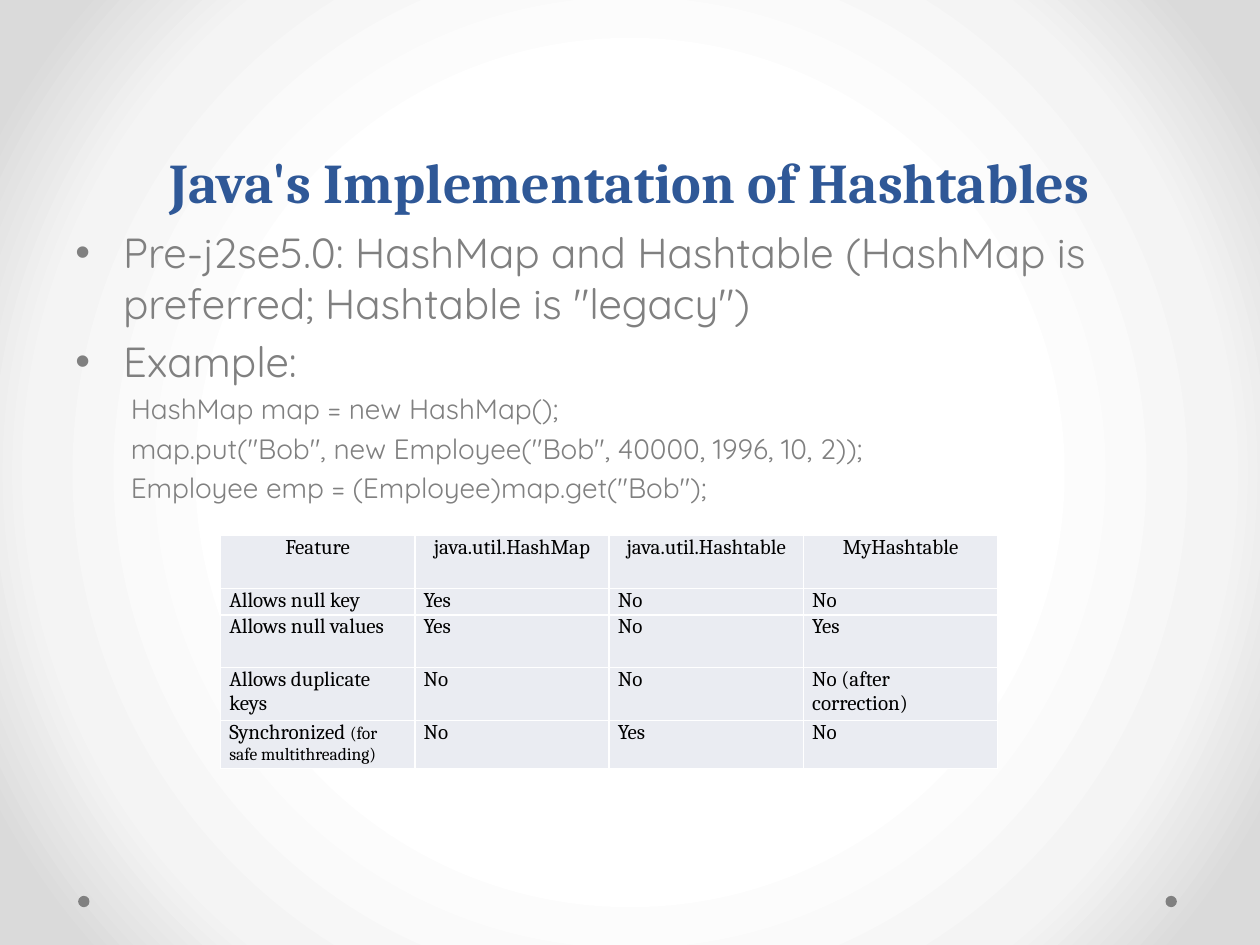
from pptx import Presentation
from pptx.dml.color import RGBColor
from pptx.enum.shapes import MSO_SHAPE
from pptx.enum.text import MSO_ANCHOR, PP_ALIGN
from pptx.oxml import parse_xml
from pptx.oxml.ns import nsdecls, qn
from pptx.util import Inches, Pt

OVAL = MSO_SHAPE.OVAL
BOTTOM, TOP = MSO_ANCHOR.BOTTOM, MSO_ANCHOR.TOP
CENTER, LEFT = PP_ALIGN.CENTER, PP_ALIGN.LEFT
BLUE = RGBColor(0x2F, 0x58, 0x97)
GRAY = RGBColor(0x80, 0x80, 0x80)
BLACK = RGBColor(0, 0, 0)
WHITE = RGBColor(0xFF, 0xFF, 0xFF)
SILVER = RGBColor(0xF4, 0xF4, 0xF4)
ASH = RGBColor(0xDA, 0xDA, 0xDA)
PALE = RGBColor(0xEA, 0xEC, 0xF2)
SERIF, SANS = "Cambria", "Quicksand"
COLUMNS, ROWS = 40, 30


class Deck:
    """Holds the style and the current slide, placed on a 40 by 30 grid."""

    def __init__(self, width, height):
        self.presentation = Presentation()
        self.presentation.slide_width = Inches(width)
        self.presentation.slide_height = Inches(height)
        self.column = self.presentation.slide_width / COLUMNS
        self.row = self.presentation.slide_height / ROWS
        self.slide = self.presentation.slides.add_slide(self.presentation.slide_layouts[6])

    def box(self, left, top, width, height):
        return (round(left * self.column), round(top * self.row),
                round(width * self.column), round(height * self.row))

    def glow(self, stops):
        self.slide.background.fill.solid()
        solid = self.slide.background.fill._xPr.find(qn("a:solidFill"))
        marks = "".join(f'<a:gs pos="{share * 1000}"><a:srgbClr val="{color}"/></a:gs>'
                        for share, color in stops)
        solid.getparent().replace(solid, parse_xml(
            f'<a:gradFill {nsdecls("a")} rotWithShape="1"><a:gsLst>{marks}</a:gsLst>'
            '<a:path path="circle"><a:fillToRect l="50000" t="50000" r="50000" b="50000"/>'
            '</a:path></a:gradFill>'))

    def dot(self, left, top, size):
        dot = self.slide.shapes.add_shape(OVAL, *self.box(left, top, size, size))
        dot.shadow.inherit = False
        dot.fill.solid()
        dot.fill.fore_color.rgb = GRAY
        dot.line.fill.background()

    def run(self, paragraph, text, size, font, color, bold=False):
        run = paragraph.add_run()
        run.text = text
        run.font.size = Pt(size)
        run.font.name = font
        run.font.color.rgb = color
        run.font.bold = bold

    def frame(self, *place, anchor=TOP):
        frame = self.slide.shapes.add_textbox(*self.box(*place)).text_frame
        frame.word_wrap = True
        frame.vertical_anchor = anchor
        return frame

    def title(self, text, *place):
        paragraph = self.frame(*place, anchor=BOTTOM).paragraphs[0]
        paragraph.alignment = CENTER
        paragraph.line_spacing = Pt(58)
        self.run(paragraph, text, 32, SERIF, BLUE, bold=True)

    def body(self, lines, *place):
        frame = self.frame(*place)
        for index, (text, size, margin, bullet) in enumerate(lines):
            paragraph = frame.add_paragraph() if index else frame.paragraphs[0]
            paragraph.space_before = Pt(size * 0.2)
            properties = paragraph._p.get_or_add_pPr()
            properties.set("marL", str(Inches(margin)))
            properties.set("indent", str(-Inches(margin) if bullet else 0))
            if bullet:
                properties.append(parse_xml(f'<a:buFont {nsdecls("a")} typeface="Arial"/>'))
                properties.append(parse_xml(f'<a:buChar {nsdecls("a")} char="{bullet}"/>'))
            self.run(paragraph, text, size, SANS, GRAY)

    def cell(self, cell, runs, alignment):
        cell.margin_left = cell.margin_right = Inches(0.07)
        cell.margin_top = cell.margin_bottom = 0
        cell.fill.solid()
        cell.fill.fore_color.rgb = PALE
        for position, side in enumerate(("lnL", "lnR", "lnT", "lnB")):
            cell._tc.get_or_add_tcPr().insert(position, parse_xml(
                f'<a:{side} {nsdecls("a")} w="{Pt(1)}"><a:solidFill>'
                f'<a:srgbClr val="{WHITE}"/></a:solidFill></a:{side}>'))
        paragraph = cell.text_frame.paragraphs[0]
        paragraph.alignment = alignment
        for text, size in runs:
            self.run(paragraph, text, size, SERIF, BLACK)

    def table(self, records, heights, *place):
        table = self.slide.shapes.add_table(
            len(records), len(records[0]), *self.box(*place)).table
        for index, (record, height) in enumerate(zip(records, heights)):
            table.rows[index].height = Inches(height)
            for cell, content in zip(table.rows[index].cells, record):
                runs = [(content, 12)] if isinstance(content, str) else content
                self.cell(cell, runs, LEFT if index else CENTER)


HEADLINES = ['Pre-j2se5.0: HashMap and Hashtable (HashMap is preferred; Hashtable is "legacy")',
             "Example:"]
CODE = ["HashMap map = new HashMap();",
        'map.put("Bob", new Employee("Bob", 40000, 1996, 10, 2));',
        'Employee emp = (Employee)map.get("Bob");']
SYNCHRONIZED = [("Synchronized ", 12), ("(for safe multithreading)", 10)]
FEATURES = [
    ("Feature", "java.util.HashMap", "java.util.Hashtable", "MyHashtable"),
    ("Allows null key", "Yes", "No", "No"),
    ("Allows null values", "Yes", "No", "Yes"),
    ("Allows duplicate keys", "No", "No", "No (after correction)"),
    (SYNCHRONIZED, "No", "Yes", "No"),
]

deck = Deck(10, 7.5)
deck.glow([(50, WHITE), (76, SILVER), (92, ASH)])
for dot_left in (2.48, 37):
    deck.dot(dot_left, 28.44, 0.36)
deck.title("Java's Implementation of Hashtables", 2, 0, 36, 7)
deck.body([(text, 24, 0.38, "\u2022") for text in HEADLINES]
          + [(text, 16, 0.44, None) for text in CODE], 2, 7, 36, 22)
deck.table(FEATURES, (0.42, 0.21, 0.42, 0.42, 0.38), 7, 17, 24.68, 7.4)
deck.presentation.save("out.pptx")
